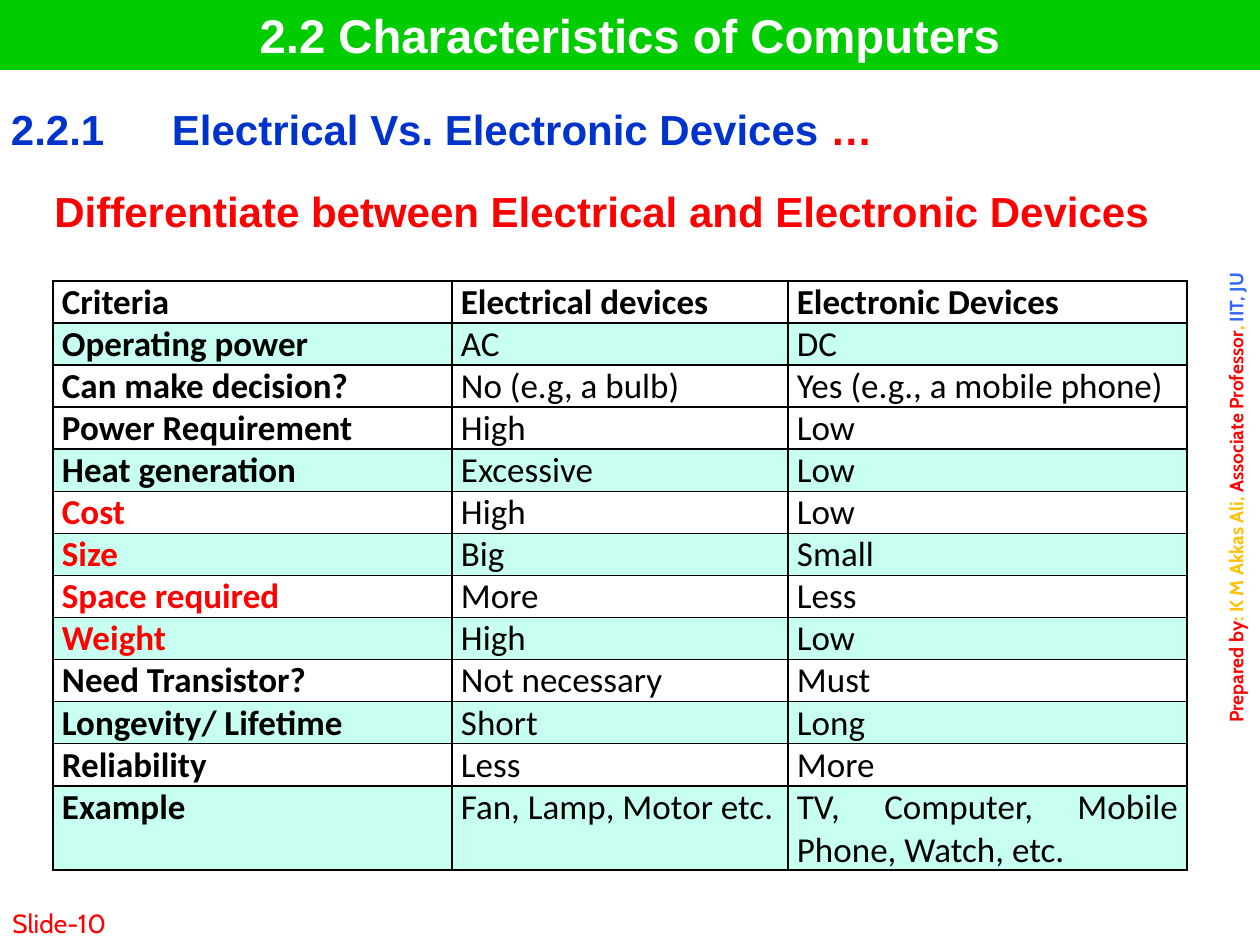
from dataclasses import dataclass

from lxml import etree
from pptx import Presentation
from pptx import util as u
from pptx.dml.color import RGBColor
from pptx.enum import text
from pptx.oxml.ns import qn

PX = 914400 // 126


@dataclass(frozen=True)
class Theme:
    bar: str = "00CC00"
    band: str = "C7FFF0"
    white: str = "FFFFFF"
    black: str = "000000"
    red: str = "FF0000"
    blue: str = "0033CC"
    gold: str = "FFC000"
    sky: str = "3366FF"
    head_font: str = "Arial"
    table_font: str = "Calibri"
    note_font: str = "Cabin"
    title_size: int = 27
    head_size: int = 24
    table_size: int = 20
    page_size: int = 15
    credit_size: int = 11


T = Theme()
ALIGN = text.PP_ALIGN

ROWS = [
    ("Criteria", "Electrical devices", "Electronic Devices"),
    ("Operating power", "AC", "DC"),
    ("Can make decision?", "No (e.g, a bulb)", "Yes (e.g., a mobile phone)"),
    ("Power Requirement", "High", "Low"),
    ("Heat generation", "Excessive", "Low"),
    ("Cost", "High", "Low"),
    ("Size", "Big", "Small"),
    ("Space required", "More", "Less"),
    ("Weight", "High", "Low"),
    ("Need Transistor?", "Not necessary", "Must"),
    ("Longevity/ Lifetime", "Short", "Long"),
    ("Reliability", "Less", "More"),
    ("Example", "Fan, Lamp, Motor etc.", "TV, Computer, Mobile Phone, Watch, etc."),
]
BANDED = {"Operating power", "Heat generation", "Size", "Weight",
          "Longevity/ Lifetime", "Example"}
RED_CRITERIA = {"Cost", "Size", "Space required", "Weight"}


def px(*values):
    return [u.Emu(v * PX) for v in values]


def write(tf, runs, font, size, align, bold=True):
    p = tf.paragraphs[0]
    p.alignment = align
    for words, color in runs:
        r = p.add_run()
        r.text = words
        r.font.name = font
        r.font.size = u.Pt(size)
        r.font.bold = bold
        r.font.color.rgb = RGBColor.from_string(color)


def add_title(s, words):
    sp = s.shapes.title
    sp.left, sp.top, sp.width, sp.height = px(0, 0, 1260, 70)
    sp.fill.solid()
    sp.fill.fore_color.rgb = RGBColor.from_string(T.bar)
    tf = sp.text_frame
    tf.auto_size = text.MSO_AUTO_SIZE.NONE
    tf.vertical_anchor = text.MSO_ANCHOR.MIDDLE
    write(tf, [(words, T.white)], T.head_font, T.title_size, ALIGN.CENTER)


def add_text(s, box, runs, font, size, align, bold=True, anchor=text.MSO_ANCHOR.TOP):
    tf = s.shapes.add_textbox(*px(*box)).text_frame
    tf.word_wrap = True
    tf.vertical_anchor = anchor
    write(tf, runs, font, size, align, bold)
    return tf


def set_borders(cell, color):
    tc_pr = cell._tc.get_or_add_tcPr()
    for side in ("a:lnL", "a:lnR", "a:lnT", "a:lnB"):
        ln = etree.SubElement(tc_pr, qn(side), w=str(u.Pt(1)))
        if color:
            fill = etree.SubElement(ln, qn("a:solidFill"))
            etree.SubElement(fill, qn("a:srgbClr"), val=color)
        else:
            etree.SubElement(ln, qn("a:noFill"))


def add_table(s, left, top, widths, heights, border=None):
    box = px(left, top, sum(widths), sum(heights))
    table = s.shapes.add_table(len(heights), len(widths), *box).table
    table.first_row = table.horz_banding = False
    for column, width in zip(table.columns, px(*widths)):
        column.width = width
    for row, height in zip(table.rows, px(*heights)):
        row.height = height
    for cell in table.iter_cells():
        cell.margin_left, cell.margin_right = px(9, 9)
        cell.margin_top = cell.margin_bottom = 0
        set_borders(cell, border)
        cell.fill.background()
    return table


def add_section_heading(s):
    table = add_table(s, 2, 108, [161, 1002], [50])
    cells = [
        [("2.2.1", T.blue)],
        [("Electrical Vs. Electronic Devices ", T.blue), ("…", T.red)],
    ]
    for cell, runs in zip(table.iter_cells(), cells):
        write(cell.text_frame, runs, T.head_font, T.head_size, ALIGN.JUSTIFY)


def add_comparison(s):
    heights = [42] * (len(ROWS) - 1) + [84]
    table = add_table(s, 53, 281, [399, 336, 399], heights, T.black)
    for i, row in enumerate(ROWS):
        for j, words in enumerate(row):
            cell = table.cell(i, j)
            if row[0] in BANDED:
                cell.fill.solid()
                cell.fill.fore_color.rgb = RGBColor.from_string(T.band)
            color = T.red if j == 0 and words in RED_CRITERIA else T.black
            write(cell.text_frame, [(words, color)], T.table_font, T.table_size,
                  ALIGN.JUSTIFY, bold=i == 0 or j == 0)


def add_credit(s):
    runs = [
        ("Prepared by", T.red),
        (": K M Akkas Ali, ", T.gold),
        ("Associate Professor", T.red),
        (", ", T.gold),
        ("IIT, JU", T.sky),
    ]
    tf = add_text(s, (1218, 62, 49, 872), runs, T.note_font, T.credit_size, ALIGN.CENTER)
    tf._txBody.bodyPr.set("vert", "vert270")


def main():
    prs = Presentation()
    prs.slide_width, prs.slide_height = u.Inches(10), u.Inches(7.5)
    s = prs.slides.add_slide(prs.slide_layouts[5])
    add_credit(s)
    add_title(s, "2.2 Characteristics of Computers")
    add_section_heading(s)
    add_text(s, (0, 882, 262, 63), [("Slide-10", T.red)], T.note_font, T.page_size,
             ALIGN.LEFT, bold=False, anchor=text.MSO_ANCHOR.BOTTOM)
    add_comparison(s)
    add_text(s, (42, 179, 1176, 84),
             [("Differentiate between Electrical and Electronic Devices", T.red)],
             T.head_font, T.head_size, ALIGN.JUSTIFY)
    prs.save("out.pptx")


if __name__ == "__main__":
    main()
